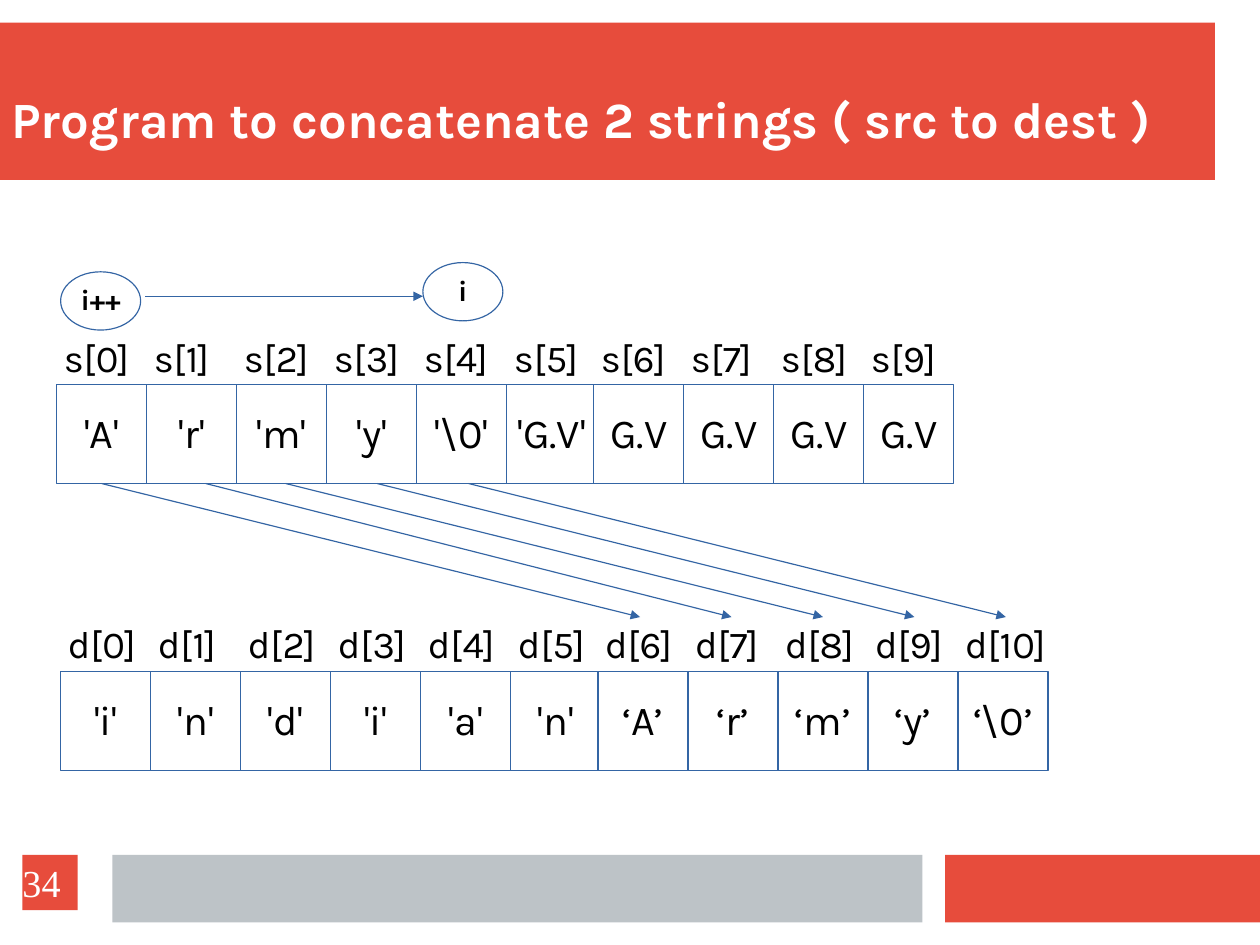
import dataclasses

import pptx
import pptx.dml.color
import pptx.enum.shapes
import pptx.enum.text
import pptx.oxml
import pptx.oxml.ns
import pptx.util

Pt = pptx.util.Pt
RGB = pptx.dml.color.RGBColor.from_string
SHAPE = pptx.enum.shapes.MSO_SHAPE
ALIGN = pptx.enum.text.PP_ALIGN
ANCHOR = pptx.enum.text.MSO_ANCHOR


@dataclasses.dataclass(frozen=True)
class Theme:
    red: str = "E74C3C"
    gray: str = "BDC3C7"
    blue: str = "3465A4"
    white: str = "FFFFFF"
    black: str = "000000"
    font: str = "Karla"
    number_font: str = "Times New Roman"
    title_size: int = 32
    value_size: int = 26
    index_size: int = 24
    counter_size: int = 18
    stroke: float = 0.75


THEME = Theme()
PAGE_WIDTH, PAGE_HEIGHT = 793.7, 595.28
INSETS = (7.2, 3.6)
NO_INSETS = (0, 0)


def write(shape, text, size, color=THEME.black, name=THEME.font, bold=False,
          align=ALIGN.LEFT, anchor=ANCHOR.TOP, insets=INSETS, wrap=False, spacing=0.97):
    side, edge = insets
    frame_format = {
        "auto_size": pptx.enum.text.MSO_AUTO_SIZE.NONE,
        "word_wrap": wrap, "vertical_anchor": anchor,
        "margin_left": Pt(side), "margin_right": Pt(side),
        "margin_top": Pt(edge), "margin_bottom": Pt(edge),
    }
    frame = shape.text_frame
    for key, value in frame_format.items():
        setattr(frame, key, value)
    paragraph = frame.paragraphs[0]
    paragraph.alignment = align
    paragraph.line_spacing = spacing
    run = paragraph.add_run()
    run.text = text
    for key, value in {"size": Pt(size), "name": name, "bold": bold}.items():
        setattr(run.font, key, value)
    run.font.color.rgb = RGB(color)


def add_block(slide, box, fill, kind=SHAPE.RECTANGLE, outline=None):
    block = slide.shapes.add_shape(kind, *map(Pt, box))
    block.shadow.inherit = False
    block.fill.solid()
    block.fill.fore_color.rgb = RGB(fill)
    if outline:
        block.line.color.rgb = RGB(outline)
        block.line.width = Pt(THEME.stroke)
    else:
        block.line.fill.background()
    return block


def add_text(slide, box, text, size, **text_format):
    write(slide.shapes.add_textbox(*map(Pt, box)), text, size, **text_format)


def add_arrow(slide, start, end):
    arrow = slide.shapes.add_connector(
        pptx.enum.shapes.MSO_CONNECTOR.STRAIGHT, *map(Pt, start + end))
    arrow.line.color.rgb = RGB(THEME.blue)
    arrow.line.width = Pt(THEME.stroke)
    head = pptx.oxml.parse_xml(
        f'<a:tailEnd {pptx.oxml.ns.nsdecls("a")} type="triangle"/>')
    arrow.line._get_or_add_ln().append(head)
    arrow._element.spPr.append(
        pptx.oxml.parse_xml(f'<a:effectLst {pptx.oxml.ns.nsdecls("a")}/>'))
    return arrow


def add_header(slide, box, title):
    left, top, width, height = box
    add_block(slide, box, THEME.red)
    add_text(slide, (left + 7.2, top + 6.2, width - 16.4, height - 25.2), title,
             THEME.title_size, color=THEME.white, bold=True,
             anchor=ANCHOR.BOTTOM, insets=NO_INSETS, wrap=True)


def add_footer(slide, box, number):
    left, top, width, height = box
    add_block(slide, (left + width - 198.4, top, 198.4, height), THEME.red)
    add_block(slide, (left + 70.8, top, 510.3, height), THEME.gray)
    page = add_block(slide, (left + 14.2, top, 34.8, 34.8), THEME.red)
    write(page, number, THEME.index_size, color=THEME.white, name=THEME.number_font,
          anchor=ANCHOR.MIDDLE, insets=NO_INSETS, wrap=True, spacing=1.0)


def add_array(slide, box, letter, values):
    """Draws indexed cells; those from index 6 on sit slightly closer."""
    left, top, pitch, height = box
    cells = []
    for index, value in enumerate(values):
        x = left + index * pitch - (1.8 if index >= 6 else 0)
        cell = add_block(slide, (x, top, pitch, height), THEME.white, outline=THEME.blue)
        write(cell, value, THEME.value_size, align=ALIGN.CENTER, anchor=ANCHOR.MIDDLE)
        add_text(slide, (x - 2.6, top - 33.8, 60.5, 36), f"{letter}[{index}]",
                 THEME.index_size)
        cells.append(cell)
    return cells


def add_counter(slide, box):
    """Shows i advancing from the first cell to the terminator."""
    left, top, width, height = box
    oval_width, oval_height = 50.4, 36.7
    for text, x, y in (("i++", left, top + height - oval_height),
                       ("i", left + width - oval_width, top)):
        oval = add_block(slide, (x, y, oval_width, oval_height), THEME.white,
                         SHAPE.OVAL, THEME.blue)
        write(oval, text, THEME.counter_size, bold=True,
              align=ALIGN.CENTER, anchor=ANCHOR.MIDDLE)
    middle = top + height / 2
    add_arrow(slide, (left + 53.3, middle), (left + width - oval_width, middle))


def add_copy_arrows(slide, box, first_source):
    left, top, width, height = box
    for index, offset in enumerate((0, 64.8, 115.2, 172.8, 230.4)):
        arrow = add_arrow(slide, (left + offset, top),
                          (left + width + index * 57.6, top + height))
        if index == 0:
            arrow.begin_connect(first_source, 2)


def main():
    deck = pptx.Presentation()
    deck.slide_width, deck.slide_height = Pt(PAGE_WIDTH), Pt(PAGE_HEIGHT)
    slide = deck.slides.add_slide(deck.slide_layouts[6])

    # Header band
    add_header(slide, (0, 14.2, 765.4, 99.2),
               "Program to concatenate 2 strings ( src to dest )")

    # Source and destination arrays
    source = ["'A'", "'r'", "'m'", "'y'", "'\\0'", "'G.V'"] + ["G.V"] * 4
    destination = ["'i'", "'n'", "'d'", "'i'", "'a'", "'n'",
                   "‘A’", "‘r’", "‘m’", "‘y’", "‘\\0’"]
    source_cells = add_array(slide, (35.7, 242.3, 56.7, 62.3), "s", source)
    add_array(slide, (38.3, 423, 56.7, 62.3), "d", destination)

    # Counter and copied characters
    add_counter(slide, (38.2, 165.4, 278.6, 42.5))
    add_copy_arrows(slide, (64.8, 304.6, 338.4, 84.1), source_cells[0])

    # Footer band
    add_footer(slide, (0, 538.5, PAGE_WIDTH, 42.5), "34")

    deck.save("out.pptx")


if __name__ == "__main__":
    main()
